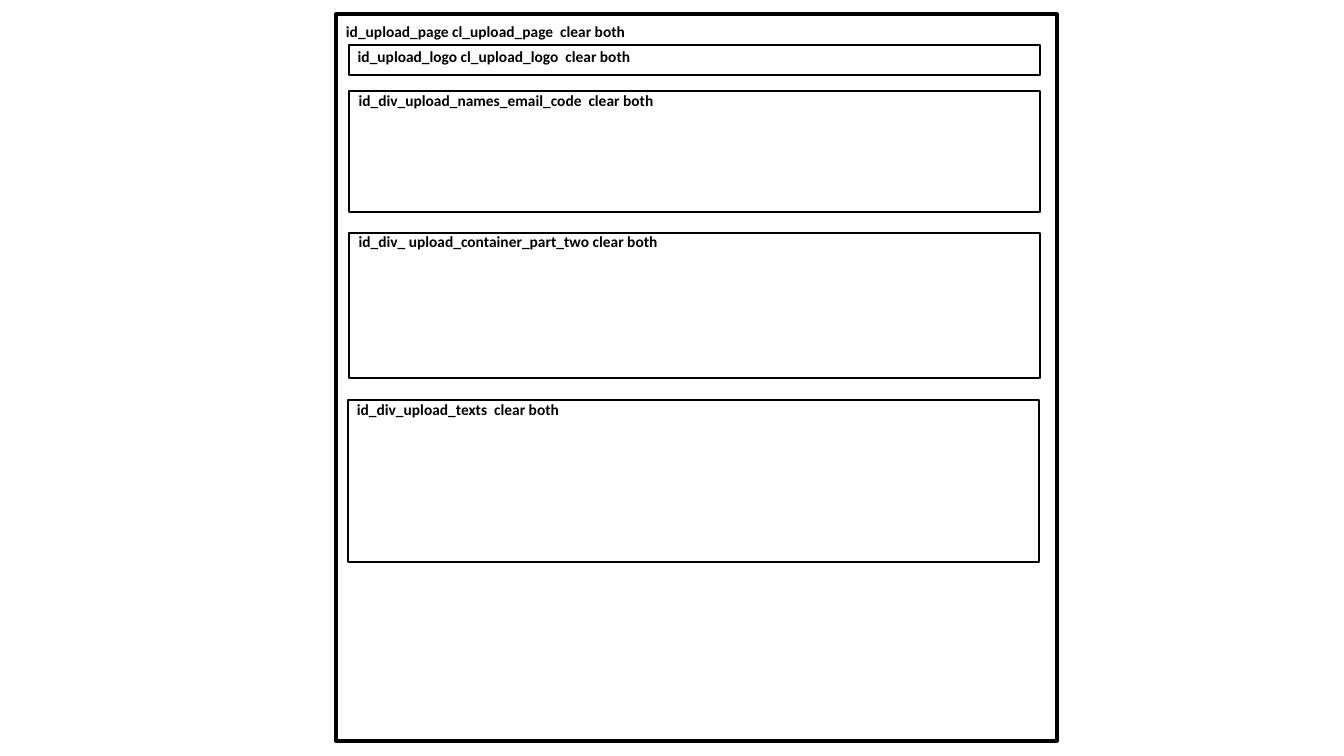
from pptx import Presentation
from pptx.dml.color import RGBColor
from pptx.enum.shapes import MSO_SHAPE
from pptx.enum.text import MSO_AUTO_SIZE
from pptx.util import Inches, Pt

RECT = MSO_SHAPE.RECTANGLE
GROW = MSO_AUTO_SIZE.SHAPE_TO_FIT_TEXT
WIDE, HIGH = Inches(13.33), Inches(7.5)
COLS, ROWS = 160, 90
COLORS = {"ink": "000000"}
FONT = {"name": "Calibri", "size": Pt(11), "bold": True}
LABEL = (56.9, 3.48)  # columns, rows
INNER = 82.3  # columns spanned by every block

# Blocks: text, column, row, rows high, label shift in columns and rows
BLOCKS = [
    ("id_upload_logo cl_upload_logo  clear both", 41.5, 5.4, 3.5, -0.1, -0.36),
    ("id_div_upload_names_email_code  clear both", 41.5, 10.8, 14.4, 0, -0.6),
    ("id_div_ upload_container_part_two clear both", 41.5, 27.7, 17.3, 0, -0.6),
    ("id_div_upload_texts  clear both", 41.4, 47.6, 19.3, -0.1, -0.6),
]


def place(col, row, cols, rows):
    """Turn grid units into slide lengths."""
    dx, dy = WIDE / COLS, HIGH / ROWS
    return [round(v) for v in (col * dx, row * dy, cols * dx, rows * dy)]


def ink():
    return RGBColor.from_string(COLORS["ink"])


def frame(slide, area, weight):
    """Draw an unfilled outline."""
    box = slide.shapes.add_shape(RECT, *place(*area))
    box.shadow.inherit = False
    box.fill.background()
    box.line.color.rgb = ink()
    box.line.width = Pt(weight)


def label(slide, text, col, row):
    """Write a bold caption."""
    box = slide.shapes.add_textbox(*place(col, row, *LABEL))
    body = box.text_frame
    body.word_wrap = True
    body.auto_size = GROW
    run = body.paragraphs[0].add_run()
    run.text = text
    for key, value in FONT.items():
        setattr(run.font, key, value)
    run.font.color.rgb = ink()


def main():
    deck = Presentation()
    deck.slide_width, deck.slide_height = WIDE, HIGH
    slide = deck.slides.add_slide(deck.slide_layouts[6])

    # Outer page
    frame(slide, (40, 1.7, 85.8, 86.5), 3)
    label(slide, "id_upload_page cl_upload_page  clear both", 40, 2.04)

    # Nested blocks
    for text, col, row, rows, dx, dy in BLOCKS:
        frame(slide, (col, row, INNER, rows), 1.5)
        label(slide, text, col + dx, row + dy)

    deck.save("out.pptx")


if __name__ == "__main__":
    main()
